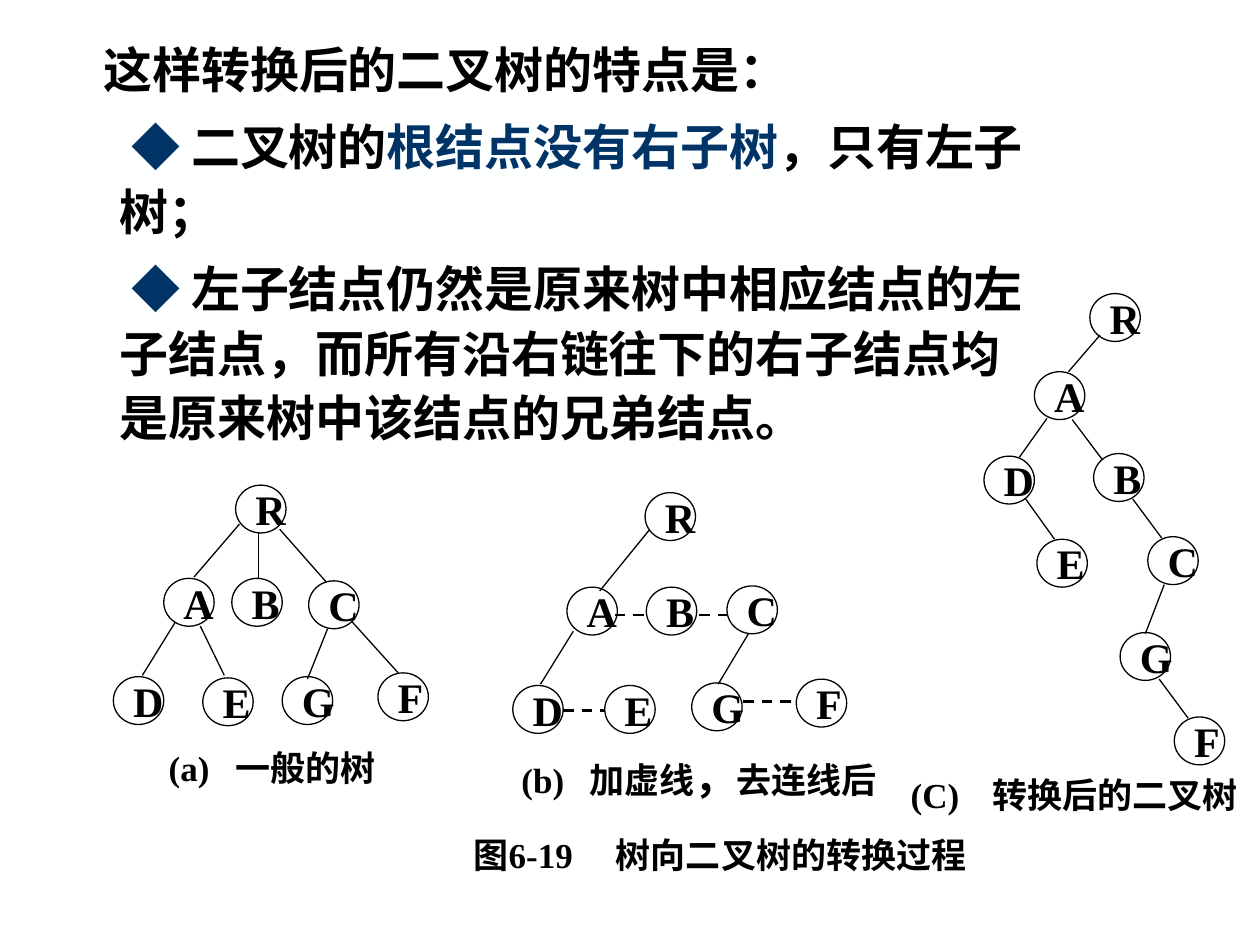
from lxml.etree import SubElement
from pptx import Presentation
from pptx.dml.color import RGBColor
from pptx.enum.dml import MSO_LINE
from pptx.enum.shapes import MSO_CONNECTOR, MSO_SHAPE
from pptx.enum.text import MSO_ANCHOR, MSO_AUTO_SIZE, PP_ALIGN
from pptx.oxml.ns import qn
from pptx.util import Inches, Pt

BLACK = RGBColor(0x00, 0x00, 0x00)
NAVY = RGBColor(0x00, 0x33, 0x66)
PAPER = RGBColor(0xFE, 0xFF, 0xFF)
SERIF = "Times New Roman"
SANS = "Noto Sans CJK SC"

FEATURES = [
    (0, 0.45, 0, [("这样转换后的二叉树的特点是：", BLACK)]),
    (1, 0.58, 0.09, [("◆", NAVY), (" 二叉树的", BLACK),
                     ("根结点没有右子树", NAVY), ("，只有左子树；", BLACK)]),
    (1, 0.58, 0.09, [("◆", NAVY),
                     (" 左子结点仍然是原来树中相应结点的左子结点，而所有沿右链往下的"
                      "右子结点均是原来树中该结点的兄弟结点。", BLACK)]),
]

GENERAL_TREE = {
    "nodes": {"R": (1.87, 3.85), "A": (1.3, 4.59), "B": (1.84, 4.59), "C": (2.45, 4.61),
              "D": (0.9, 5.37), "E": (1.61, 5.38), "G": (2.24, 5.37), "F": (3, 5.34)},
    "branches": [(1.9, 4.16, 1.54, 4.58), (2.05, 4.22, 2.05, 4.59),
                 (2.22, 4.2, 2.59, 4.62), (1.39, 4.94, 1.13, 5.36),
                 (1.59, 4.97, 1.78, 5.36), (2.6, 4.99, 2.44, 5.39),
                 (2.79, 4.93, 3.16, 5.34)],
    "siblings": [],
}
LINKED_TREE = {
    "nodes": {"R": (5.12, 3.91), "A": (4.5, 4.66), "B": (5.13, 4.66), "C": (5.77, 4.65),
              "D": (4.07, 5.44), "E": (4.8, 5.44), "G": (5.49, 5.42), "F": (6.32, 5.39)},
    "branches": [(5.15, 4.21, 4.76, 4.69), (4.55, 5.01, 4.29, 5.43),
                 (5.94, 5.03, 5.7, 5.43)],
    "siblings": [(4.88, 4.88, 5.13, 4.88), (5.55, 4.88, 5.77, 4.88),
                 (4.47, 5.64, 4.8, 5.64), (5.9, 5.57, 6.31, 5.57)],
}
BINARY_TREE = {
    "nodes": {"R": (8.65, 2.33), "A": (8.21, 2.95), "B": (8.68, 3.6), "D": (7.81, 3.62),
              "C": (9.11, 4.26), "E": (8.23, 4.28), "G": (8.89, 5.02), "F": (9.32, 5.69)},
    "branches": [(8.73, 2.66, 8.48, 2.95), (8.31, 3.32, 8.09, 3.63),
                 (8.51, 3.33, 8.75, 3.65), (8.14, 3.96, 8.37, 4.28),
                 (8.99, 3.96, 9.22, 4.27), (9.24, 4.64, 9.09, 5.03),
                 (9.2, 5.39, 9.43, 5.7)],
    "siblings": [],
}

CAPTIONS = [
    ([("(a)\t一般的树", 20)], 1.24, 5.92, 1.9, 0.35, 0.53),
    ([("(b)\t加虚线", 20), ("，", 24), ("去连线后", 20)], 4.04, 5.99, 3.05, 0.35, 0.54),
    ([("(C)\t转换后的二叉树", 20)], 7.13, 6.11, 2.8, 0.39, 0.65),
    ([("图6-19\t树向二叉树的转换过程", 20)], 3.66, 6.59, 4.15, 0.39, 1.13),
]


class TreeSlide:
    """Draws styled text and tree diagrams on one slide."""

    def __init__(self, slide):
        self.slide = slide
        slide.background.fill.solid()
        slide.background.fill.fore_color.rgb = PAPER

    def style(self, paragraph, size, face):
        paragraph.alignment = PP_ALIGN.LEFT
        font = paragraph.font
        font.size, font.bold, font.name = Pt(size), True, face
        font.color.rgb = BLACK
        defaults = paragraph._p.pPr.find(qn("a:defRPr"))
        SubElement(defaults, qn("a:ea")).set("typeface", SANS)

    def features(self, items, left, top, width, height):
        body = self.slide.placeholders[1]
        body.left, body.top = Inches(left), Inches(top)
        body.width, body.height = Inches(width), Inches(height)
        frame = body.text_frame
        frame.auto_size = MSO_AUTO_SIZE.NONE
        for index, (level, margin, indent, pieces) in enumerate(items):
            paragraph = frame.add_paragraph() if index else frame.paragraphs[0]
            paragraph.level = level
            properties = paragraph._p.get_or_add_pPr()
            properties.set("marL", str(Inches(margin)))
            properties.set("indent", str(Inches(indent)))
            SubElement(properties, qn("a:buNone"))
            paragraph.line_spacing = 1.1
            paragraph.space_before = Pt(7 if index else 0)
            self.style(paragraph, 28, SANS)
            for words, color in pieces:
                run = paragraph.add_run()
                run.text = words
                run.font.color.rgb = color

    def caption(self, pieces, left, top, width, height, tab):
        frame = self.slide.shapes.add_textbox(
            Inches(left), Inches(top), Inches(width), Inches(height)).text_frame
        frame.word_wrap = True
        frame.margin_right = 0
        frame.vertical_anchor = MSO_ANCHOR.MIDDLE
        paragraph = frame.paragraphs[0]
        tabs = SubElement(paragraph._p.get_or_add_pPr(), qn("a:tabLst"))
        SubElement(tabs, qn("a:tab"), pos=str(Inches(tab)), algn="l")
        self.style(paragraph, 20, SERIF)
        for words, size in pieces:
            run = paragraph.add_run()
            run.text = words
            run.font.size = Pt(size)

    def node(self, letter, left, top):
        circle = self.slide.shapes.add_shape(
            MSO_SHAPE.OVAL, Inches(left), Inches(top), Inches(0.4), Inches(0.38))
        circle.shadow.inherit = False
        circle.fill.background()
        circle.line.color.rgb = BLACK
        circle.line.width = Pt(0.75)
        frame = circle.text_frame
        frame.word_wrap = False
        frame.vertical_anchor = MSO_ANCHOR.MIDDLE
        frame.text = letter
        self.style(frame.paragraphs[0], 24, SERIF)

    def edge(self, ends, dashed=False):
        line = self.slide.shapes.add_connector(MSO_CONNECTOR.STRAIGHT, *map(Inches, ends))
        line.line.color.rgb = BLACK
        line.line.width = Pt(1.5 if dashed else 0.75)
        if dashed:
            line.line.dash_style = MSO_LINE.DASH
        SubElement(line._element.spPr, qn("a:effectLst"))

    def tree(self, nodes, branches, siblings):
        for letter, corner in nodes.items():
            self.node(letter, *corner)
        for ends in branches:
            self.edge(ends)
        for ends in siblings:
            self.edge(ends, dashed=True)


def main():
    deck = Presentation()
    deck.slide_width, deck.slide_height = Inches(10), Inches(7.5)
    slide = deck.slides.add_slide(deck.slide_layouts[1])
    title = slide.shapes.title._element
    title.getparent().remove(title)

    page = TreeSlide(slide)
    page.features(FEATURES, 0.27, 0.22, 7.95, 3.38)
    for tree in (GENERAL_TREE, LINKED_TREE, BINARY_TREE):
        page.tree(**tree)
    for caption in CAPTIONS:
        page.caption(*caption)
    deck.save("out.pptx")


if __name__ == "__main__":
    main()
